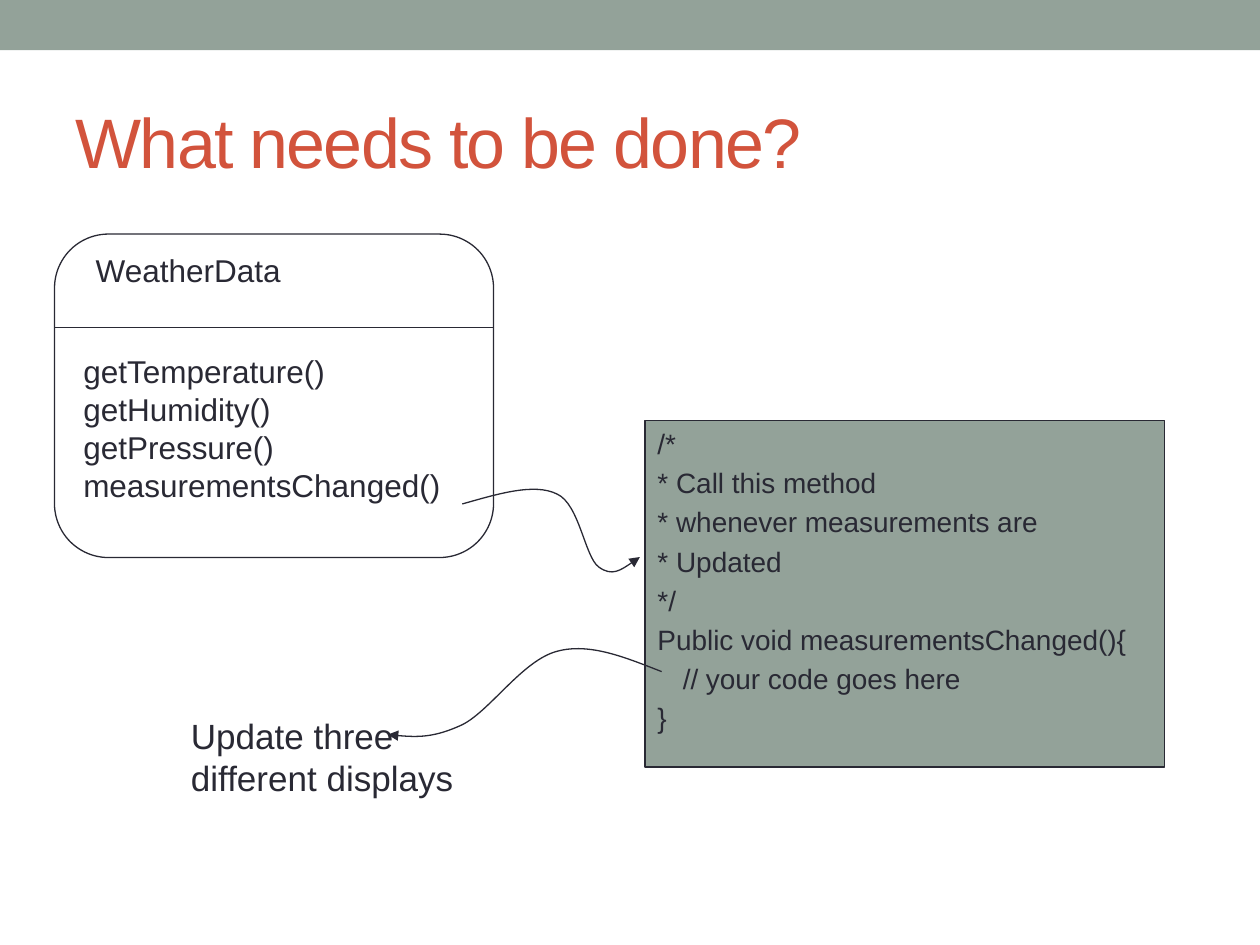
from lxml import etree
from pptx import Presentation
from pptx.dml.color import RGBColor
from pptx.enum.shapes import MSO_CONNECTOR, MSO_SHAPE
from pptx.enum.text import MSO_ANCHOR, MSO_AUTO_SIZE, PP_ALIGN
from pptx.oxml.ns import qn
from pptx.util import Cm, Pt

RECT, ROUNDED = MSO_SHAPE.RECTANGLE, MSO_SHAPE.ROUNDED_RECTANGLE
STRAIGHT = MSO_CONNECTOR.STRAIGHT
MIDDLE, TOP = MSO_ANCHOR.MIDDLE, MSO_ANCHOR.TOP
NO_FIT, GROW = MSO_AUTO_SIZE.NONE, MSO_AUTO_SIZE.SHAPE_TO_FIT_TEXT
LEFT = PP_ALIGN.LEFT
FONT, INK, SAGE, RUST = "Arial", "292934", "93A299", "D2533C"

METHODS = "getTemperature()\ngetHumidity()\ngetPressure()\nmeasurementsChanged()"
CODE = """/*
* Call this method
* whenever measurements are
* Updated
*/
Public void measurementsChanged(){
\t// your code goes here
}"""
CALL_CURVE = [(9.32, 10.16), (10.03, 9.96), (10.77, 9.73), (11.23, 9.96),
              (11.68, 10.16), (11.79, 11.23), (12.07, 11.43),
              (12.34, 11.63), (12.62, 11.43), (12.9, 11.23)]
UPDATE_CURVE = [(13.34, 13.54), (12.62, 13.26), (11.89, 12.95), (11.23, 13.13),
                (10.54, 13.31), (9.88, 14.33), (9.32, 14.61),
                (8.74, 14.88), (8.28, 14.86), (7.82, 14.81)]


def rgb(value):
    """Return the colour for a hex string."""
    return RGBColor.from_string(value)


def set_text(tf, text, size, color=INK):
    """Fill a text frame and format all its runs."""
    tf.text = text
    for p in tf.paragraphs:
        p.alignment = LEFT
        for r in p.runs:
            r.font.name, r.font.size = FONT, Pt(size)
            r.font.color.rgb = rgb(color)


def set_line(s):
    """Give a shape the thin dark outline."""
    s.line.color.rgb = rgb(INK)
    s.line.width = Pt(0.75)


def place(s, x, y, w, h):
    """Move and size a shape, in centimetres."""
    s.left, s.top, s.width, s.height = Cm(x), Cm(y), Cm(w), Cm(h)


def add_label(shapes, text, size, x, y, w, h, wrap=False):
    """Add a text box that grows with its text."""
    tf = shapes.add_textbox(Cm(x), Cm(y), Cm(w), Cm(h)).text_frame
    tf.word_wrap, tf.auto_size = wrap, GROW
    set_text(tf, text, size)


def add_band(slide, w, h):
    """Draw the coloured band along the top edge."""
    s = slide.shapes.add_shape(RECT, 0, 0, Cm(w), Cm(h))
    s.shadow.inherit = False
    s.fill.solid()
    s.fill.fore_color.rgb = rgb(SAGE)
    s.line.fill.background()


def add_title(slide, text, x, y, w, h):
    """Place and format the title placeholder."""
    s = slide.shapes.title
    place(s, x, y, w, h)
    tf = s.text_frame
    set_text(tf, text, 40, RUST)
    tf.vertical_anchor, tf.auto_size = MIDDLE, NO_FIT
    tf.paragraphs[0].runs[0].font._element.set("spc", "-100")


def add_code(slide, text, x, y, w, h):
    """Place the code listing in the body placeholder."""
    s = slide.placeholders[1]
    place(s, x, y, w, h)
    s.fill.solid()
    s.fill.fore_color.rgb = rgb(SAGE)
    set_line(s)
    tf = s.text_frame
    set_text(tf, text, 16)
    tf.vertical_anchor, tf.auto_size = TOP, NO_FIT
    for p in tf.paragraphs:
        pPr = p._p.get_or_add_pPr()
        pPr.set("marL", str(Cm(0.51)))
        pPr.set("indent", str(-Cm(0.51)))
        etree.SubElement(pPr, qn("a:buNone"))


def add_class_card(slide, name, methods, x, y, w, h):
    """Draw the class card with its name, divider and methods."""
    shapes = slide.shapes.add_group_shape().shapes
    s = shapes.add_shape(ROUNDED, Cm(x), Cm(y), Cm(w), Cm(h))
    s.shadow.inherit = False
    s.fill.background()
    set_line(s)
    add_label(shapes, name, 18, x + 0.58, y + 0.21, 4.27, 1.02)
    divider = Cm(y + 1.88)
    line = shapes.add_connector(STRAIGHT, Cm(x), divider, Cm(x + w), divider)
    set_line(line)
    etree.SubElement(line._element.spPr, qn("a:effectLst"))
    add_label(shapes, methods, 18, x + 0.33, y + 2.26, 8.26, 3.33, wrap=True)


def add_curved_arrow(slide, points):
    """Draw a Bézier arrow: a start, then two controls and an end per segment."""
    start, *rest = [(Cm(x), Cm(y)) for x, y in points]
    builder = slide.shapes.build_freeform(*start)
    builder.add_line_segments(rest, close=False)
    s = builder.convert_to_shape()
    s.shadow.inherit = False
    s.fill.background()
    set_line(s)
    steps = s._element.xpath(".//a:lnTo")
    for i in range(0, len(steps), 3):
        curve = etree.Element(qn("a:cubicBezTo"))
        steps[i].addprevious(curve)
        for step in steps[i:i + 3]:
            curve.append(step[0])
            step.getparent().remove(step)
    etree.SubElement(s.line._get_or_add_ln(), qn("a:tailEnd"), type="triangle")


def main():
    """Build the slide and save it."""
    prs = Presentation()
    prs.slide_width, prs.slide_height = Cm(25.4), Cm(19.05)
    slide = prs.slides.add_slide(prs.slide_layouts[1])
    add_band(slide, 25.4, 1.01)
    add_title(slide, "What needs to be done?", 1.27, 1.47, 22.86, 2.74)
    add_code(slide, CODE, 13, 8.47, 10.48, 6.99)
    add_class_card(slide, "WeatherData", METHODS, 1.1, 4.72, 8.85, 6.52)
    for points in (CALL_CURVE, UPDATE_CURVE):
        add_curved_arrow(slide, points)
    add_label(slide.shapes, "Update three\ndifferent displays", 20,
              3.6, 14.27, 5.84, 1.96)
    prs.save("out.pptx")


if __name__ == "__main__":
    main()
